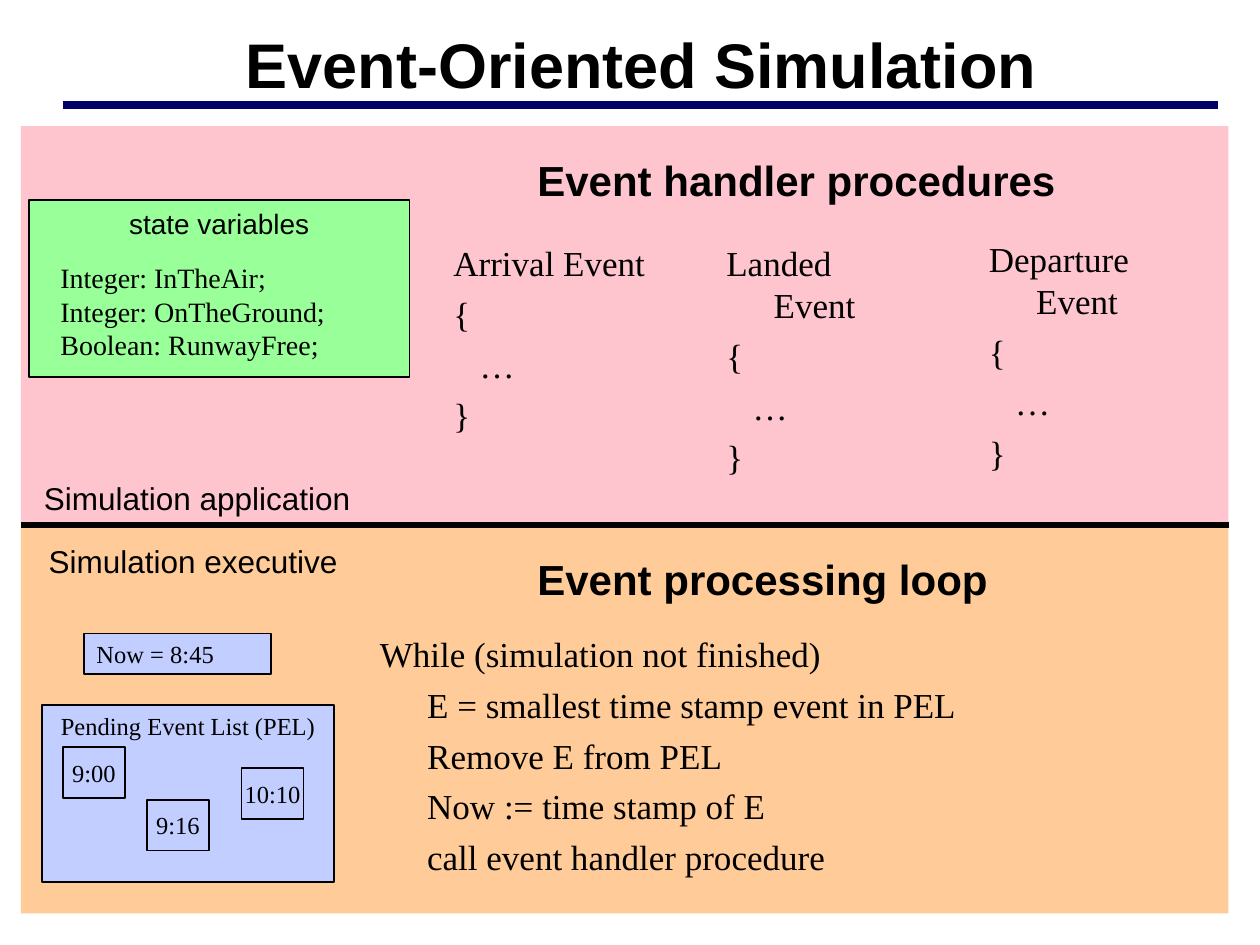
from pptx import Presentation
from pptx.dml.color import RGBColor
from pptx.enum.shapes import MSO_CONNECTOR, MSO_SHAPE
from pptx.enum.text import MSO_ANCHOR, PP_ALIGN
from pptx.oxml.ns import qn
from pptx.util import Pt
from lxml.etree import SubElement

INK = {"black": "000000", "navy": "000066", "pink": "FFC5CF",
       "green": "99FF99", "peach": "FFCC99", "blue": "C1CEFF"}
SANS, SERIF = "Arial", "Times New Roman"
HANG = 27


def tint(name):
    return RGBColor.from_string(INK[name])


def write(shape, rows, size, face, bold=False, align=PP_ALIGN.LEFT,
          anchor=MSO_ANCHOR.TOP, wrap=True, gap=0):
    """Fill a shape with rows of (text, left margin, first-line indent)."""
    frame = shape.text_frame
    frame.word_wrap = wrap
    frame.vertical_anchor = anchor
    for num, (text, left, first) in enumerate(rows):
        para = frame.paragraphs[0] if num == 0 else frame.add_paragraph()
        para.alignment = align
        para.space_before = Pt(gap if num else 0)
        props = para._p.get_or_add_pPr()
        props.set("marL", str(Pt(left)))
        props.set("indent", str(Pt(first)))
        run = para.add_run()
        run.text = text
        run.font.size = Pt(size)
        run.font.name = face
        run.font.bold = bold
        run.font.color.rgb = tint("black")


deck = Presentation()
deck.slide_width, deck.slide_height = Pt(720), Pt(540)
slide = deck.slides.add_slide(deck.slide_layouts[5])
shapes = slide.shapes

title = shapes.title
title.left, title.top, title.width, title.height = Pt(37.5), Pt(11), Pt(658), Pt(50)
write(title, [("Event-Oriented Simulation", 0, 0)], 36, SANS, True,
      PP_ALIGN.CENTER, MSO_ANCHOR.MIDDLE)

# Panels and boxes, back to front: place, fill, outlined, text, size, face, anchor, align
mid, top = MSO_ANCHOR.MIDDLE, MSO_ANCHOR.TOP
center, left = PP_ALIGN.CENTER, PP_ALIGN.LEFT
boxes = [
    ((12, 72, 690, 228), "pink", False, "", 0, SANS, top, center),
    ((12, 300, 690, 222), "peach", False, "", 0, SANS, top, center),
    ((16.5, 114.5, 217.5, 101), "green", True, "state variables", 16, SANS, top, center),
    ((24, 403, 167, 101), "blue", True, "Pending Event List (PEL)", 14, SERIF, top, center),
    ((36, 427, 35.5, 29), "blue", True, "9:00", 14, SERIF, mid, center),
    ((84, 457, 35.5, 29), "blue", True, "9:16", 14, SERIF, mid, center),
    ((138, 439, 35.5, 29), "blue", True, "10:10", 14, SERIF, mid, center),
    ((48, 362, 107, 23), "blue", True, "Now = 8:45", 14, SERIF, mid, left),
]
for place, fill, edge, text, size, face, anchor, align in boxes:
    box = shapes.add_shape(MSO_SHAPE.RECTANGLE, *map(Pt, place))
    box.shadow.inherit = False
    box.fill.solid()
    box.fill.fore_color.rgb = tint(fill)
    if edge:
        box.line.color.rgb = tint("black")
        box.line.width = Pt(1)
    else:
        box.line.fill.background()
    if text:
        write(box, [(text, 0, 0)], size, face, align=align, anchor=anchor,
              wrap=align == left)

# Title rule and divider
for x1, x2, y, color, width in [(36, 696, 60, "navy", 4.5),
                                (12, 702, 300, "black", 3)]:
    rule = shapes.add_connector(MSO_CONNECTOR.STRAIGHT, Pt(x1), Pt(y), Pt(x2), Pt(y))
    rule.line.color.rgb = tint(color)
    rule.line.width = Pt(width)
    SubElement(rule._element.spPr, qn("a:effectLst"))

# Section labels and headings
labels = [
    ((18, 270, 200, 29), "Simulation application", 18, False, 0),
    ((20.75, 306, 200, 29), "Simulation executive", 18, False, 0),
    ((264, 84.5, 348, 36), "Event handler procedures", 24, True, 36),
    ((264, 312.5, 348, 36), "Event processing loop", 24, True, 36),
]
for place, text, size, bold, inset in labels:
    label = shapes.add_textbox(*map(Pt, place))
    write(label, [(text, inset, 0)], size, SANS, bold)

state = shapes.add_textbox(Pt(27.5), Pt(145.5), Pt(180), Pt(65))
names = ["Integer: InTheAir;", "Integer: OnTheGround;", "Boolean: RunwayFree;"]
write(state, [(name, 0, 0) for name in names], 16, SERIF)

# Event handlers
for name, x, y, width in [("Arrival Event", 252, 134.5, 138),
                          ("Landed Event", 408, 134.5, 120),
                          ("Departure Event", 558, 132, 120)]:
    proc = shapes.add_textbox(Pt(x), Pt(y), Pt(width), Pt(118))
    write(proc, [(name, HANG, -HANG), ("{", 0, 0), ("…", 15, 0), ("}", 0, 0)],
          20, SERIF, gap=5)

loop = shapes.add_textbox(Pt(210), Pt(358), Pt(480), Pt(147))
steps = ["E = smallest time stamp event in PEL", "Remove E from PEL",
         "Now := time stamp of E", "call event handler procedure"]
write(loop, [("While (simulation not finished)", 0, 0)]
      + [(step, HANG, 0) for step in steps], 20, SERIF, gap=5)

deck.save("out.pptx")
